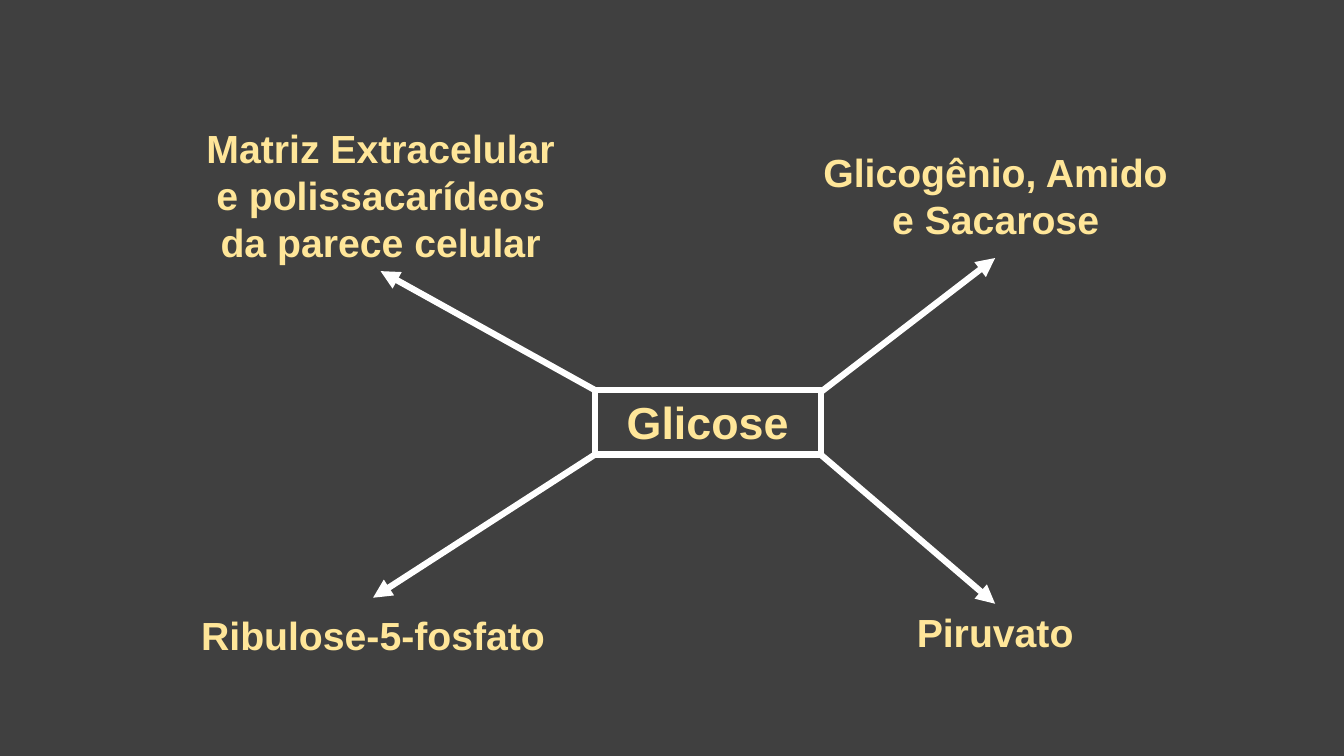
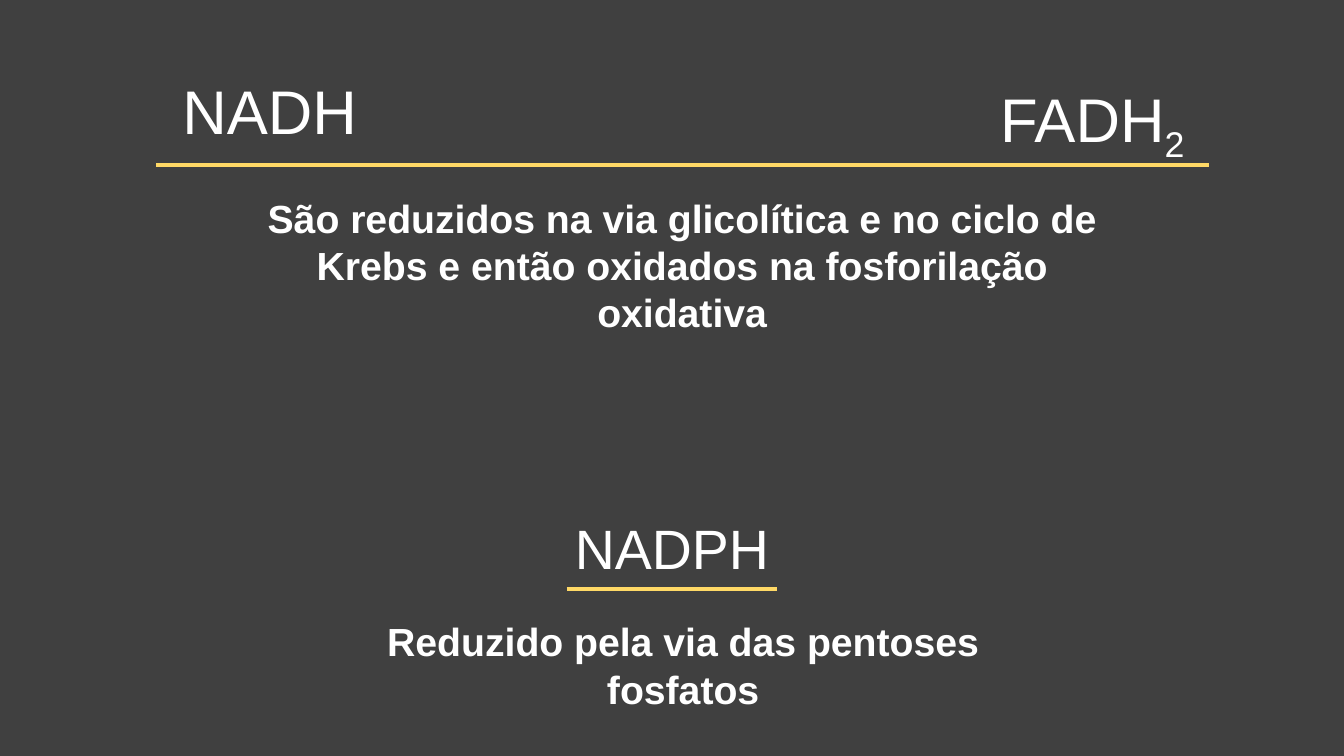
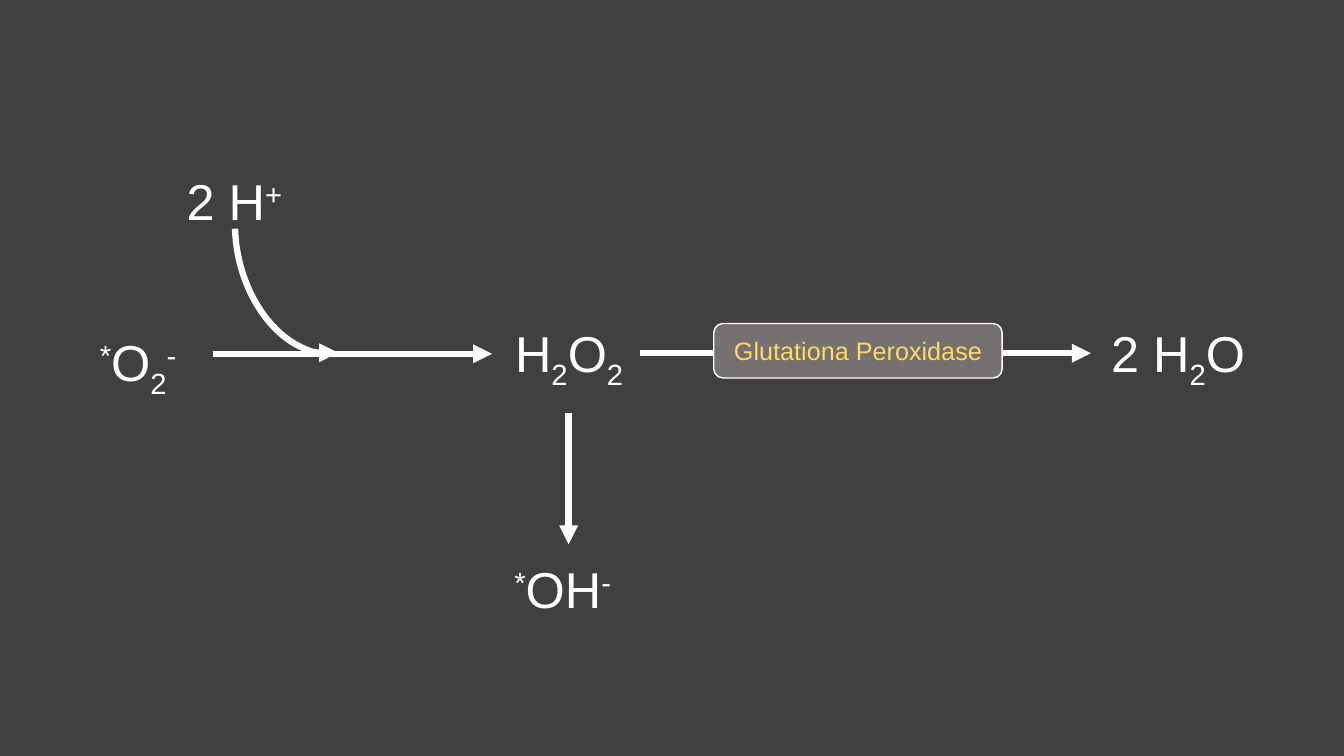
from itertools import groupby

from lxml.etree import SubElement
from pptx import Presentation
from pptx.dml.color import RGBColor
from pptx.enum.shapes import MSO_CONNECTOR, MSO_SHAPE
from pptx.enum.text import MSO_ANCHOR, MSO_AUTO_SIZE, PP_ALIGN
from pptx.oxml.ns import qn
from pptx.util import Inches, Pt

HEX = {"back": "404040", "white": "FFFFFF", "cream": "FFE699",
       "gold": "FFD966", "gray": "767171"}
FONT = "Arial"
BASES = {"^": "30000", "_": "-25000"}

LABEL = {"size": Pt(28), "bold": True}
CORE = {"size": Pt(32), "bold": True}
HEAD = {"size": Pt(44)}
SUBHEAD = {"size": Pt(39.6)}
FORMULA = {"size": Pt(36)}
ENZYME = {"size": Pt(18)}


def color(name):
    return RGBColor.from_string(HEX[name])


def split(text):
    """Yield (base, letters); ^ raises and _ lowers the next letter."""
    pairs, base = [], None
    for char in text:
        if char in BASES:
            base = BASES[char]
        else:
            pairs.append((base, char))
            base = None
    for base, group in groupby(pairs, key=lambda pair: pair[0]):
        yield base, "".join(char for _, char in group)


def write(shape, text, style, tint, anchor=MSO_ANCHOR.TOP, space=None):
    frame = shape.text_frame
    frame.word_wrap = True
    frame.vertical_anchor = anchor
    if anchor == MSO_ANCHOR.TOP:
        frame.auto_size = MSO_AUTO_SIZE.SHAPE_TO_FIT_TEXT
    para = frame.paragraphs[0]
    para.alignment = PP_ALIGN.CENTER
    if space:
        para.line_spacing = space
    for base, part in split(text):
        run = para.add_run()
        run.text = part
        for key, value in {"name": FONT, **style}.items():
            setattr(run.font, key, value)
        run.font.color.rgb = color(tint)
        if base:
            run._r.get_or_add_rPr().set("baseline", base)


def label(slide, text, box, style, tint="white", **layout):
    shape = slide.shapes.add_textbox(*map(Inches, box))
    write(shape, text, style, tint, **layout)
    return shape


def paint(line, tint, width, tip=None):
    """Style a line; tip is headEnd or tailEnd."""
    line.color.rgb = color(tint)
    line.width = Pt(width)
    if tip:
        SubElement(line._ln, qn("a:" + tip), type="triangle")


def block(slide, kind, box, width, fill=None):
    shape = slide.shapes.add_shape(kind, *map(Inches, box))
    shape.shadow.inherit = False
    if fill:
        shape.fill.solid()
        shape.fill.fore_color.rgb = color(fill)
    else:
        shape.fill.background()
    paint(shape.line, "white", width, "headEnd" if kind == MSO_SHAPE.ARC else None)
    return shape


def rule(slide, start, end, tint="gold", width=3, tip=None):
    line = slide.shapes.add_connector(
        MSO_CONNECTOR.STRAIGHT, *map(Inches, start + end))
    paint(line.line, tint, width, tip)
    SubElement(line._element.spPr, qn("a:effectLst"))
    return line


def arrow(slide, start, end):
    return rule(slide, start, end, "white", 4.5, "tailEnd")


def fates(slide):
    """Glucose and its four destinations."""
    left, top, wide, high = core = (5.9, 3.87, 2.24, 0.64)
    right, low = left + wide, top + high
    write(block(slide, MSO_SHAPE.RECTANGLE, core, 4.5), "Glicose", CORE, "cream")
    # text, box, arrow start, arrow end, joined side
    for text, box, start, end, side in (
        ("Piruvato", (8.75, 5.99, 2.24, 0.57), (right, low), (9.87, 5.99), 0),
        ("Ribulose-5-fosfato", (1.72, 6.02, 3.96, 0.57),
         (left, low), (3.7, 5.93), None),
        ("Glicogênio, Amido e Sacarose", (7.96, 1.42, 3.83, 1.04),
         (right, 3.89), (9.87, 2.56), None),
        ("Matriz Extracelular e polissacarídeos da parece celular",
         (1.86, 1.18, 3.83, 1.51), (left, top), (3.77, 2.69), 2),
    ):
        goal = label(slide, text, box, LABEL, "cream")
        line = arrow(slide, start, end)
        if side is not None:
            line.end_connect(goal, side)


def carriers(slide):
    """Electron carriers and where they are reduced."""
    for text, box, style, space in (
        ("NADPH", (5.36, 5.1, 2.61, 0.74), SUBHEAD, 0.9),
        ("NADH", (1.37, 0.7, 2.61, 0.88), HEAD, 0.9),
        ("FADH_2", (9.53, 0.84, 2.61, 0.74), HEAD, 0.8),
    ):
        label(slide, text, box, style, anchor=MSO_ANCHOR.MIDDLE, space=space)
    for left, right, top in ((1.55, 11.99, 1.64), (5.62, 7.71, 5.84)):
        rule(slide, (left, top), (right, top))
    label(slide, "São reduzidos na via glicolítica e no ciclo de Krebs "
          "e então oxidados na fosforilação oxidativa",
          (2.37, 1.88, 8.79, 1.04), LABEL)
    label(slide, "Reduzido pela via das pentoses fosfatos",
          (3.03, 6.08, 7.49, 0.57), LABEL)


def radicals(slide):
    """Superoxide to peroxide to water."""
    high, axis = 0.71, 3.51
    _, _, peroxide, _, water = [
        label(slide, text, (left, top, wide, high), FORMULA)
        for text, left, top, wide in (
            ("^*OH^-", 4.87, 5.49, 1.42),
            ("^*O_2^-", 0.78, 3.24, 1.18),
            ("H_2O_2", 4.94, 3.15, 1.41),
            ("2 H^+", 1.23, 1.64, 2.19),
            ("2 H_2O", 10.82, 3.15, 1.73),
        )]
    arrow(slide, (5.64, 4.1), (5.64, 5.4))
    arrow(slide, (2.11, axis), (4.88, axis))
    arc = block(slide, MSO_SHAPE.ARC, (2.01, 1.61, 2.25, 1.57), 4.5)
    arc.rotation = 257.5
    arc.adjustments[0], arc.adjustments[1] = 108.79, 174.87
    line = arrow(slide, (6.35, axis), (10.82, axis))
    line.begin_connect(peroxide, 3)
    line.end_connect(water, 1)
    enzyme = block(slide, MSO_SHAPE.ROUNDED_RECTANGLE,
                   (7.08, 3.21, 2.86, 0.54), 1, "gray")
    write(enzyme, "Glutationa Peroxidase", ENZYME, "gold", MSO_ANCHOR.MIDDLE)


def main():
    deck = Presentation()
    deck.slide_width, deck.slide_height = Inches(13.33), Inches(7.5)
    back = deck.slide_master.background.fill
    back.solid()
    back.fore_color.rgb = color("back")
    for build in (fates, carriers, radicals):
        build(deck.slides.add_slide(deck.slide_layouts[6]))
    deck.save("out.pptx")


if __name__ == "__main__":
    main()
